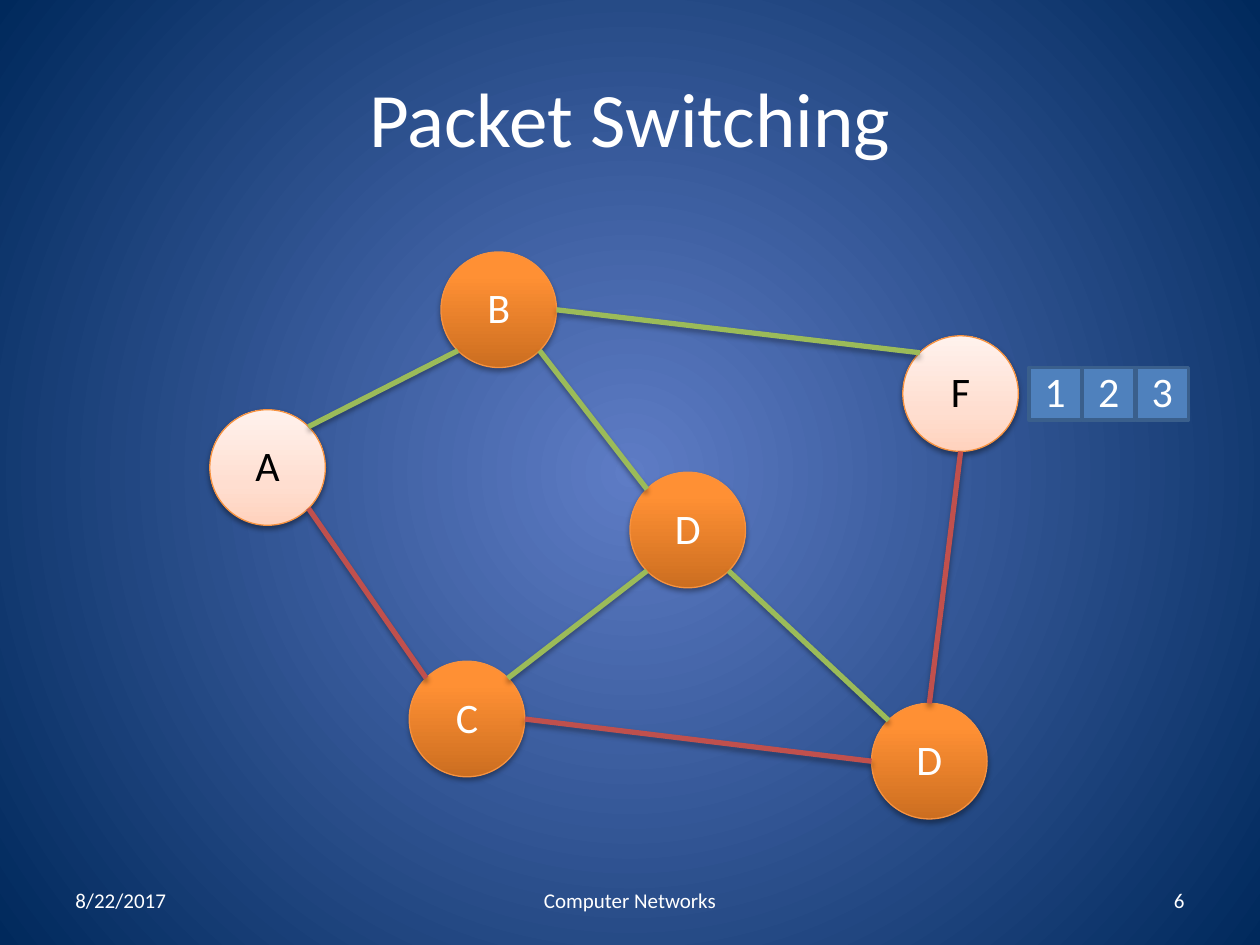
import math

from lxml import etree
from pptx import Presentation
from pptx.dml.color import RGBColor
from pptx.enum import shapes, text
from pptx.oxml import ns
from pptx.util import Cm, Pt

WHITE = RGBColor(0xFF, 0xFF, 0xFF)
BLACK = RGBColor(0x00, 0x00, 0x00)
ORANGE_EDGE = RGBColor(0xF6, 0x92, 0x40)
GREEN = RGBColor(0x9B, 0xBB, 0x59)
RED = RGBColor(0xC0, 0x50, 0x4D)
PACKET_FILL = RGBColor(0x4F, 0x81, 0xBD)
PACKET_EDGE = RGBColor(0x3A, 0x5F, 0x8C)
BACKDROP = [(0, RGBColor(0x5E, 0x7C, 0xC5)), (100, RGBColor(0x00, 0x29, 0x5C))]
HOST = [(0, RGBColor(0xFF, 0xD2, 0xBD)), (35, RGBColor(0xFF, 0xDE, 0xD0)),
        (100, RGBColor(0xFF, 0xF2, 0xED))]
ROUTER = [(0, RGBColor(0xCC, 0x6E, 0x20)), (80, RGBColor(0xFF, 0x90, 0x34)),
          (100, RGBColor(0xFF, 0x91, 0x36))]
UPWARD = '<a:lin ang="16200000" scaled="0"/>'
RADIAL = '<a:path path="circle"><a:fillToRect l="50000" t="50000" r="50000" b="50000"/></a:path>'


def set_gradient(element, stops, shade):
    """Replace the stops and direction of the gradient fill inside element."""
    gradient = element.find(".//" + ns.qn("a:gradFill"))
    marks = "".join(f'<a:gs pos="{place * 1000}"><a:srgbClr val="{color}"/></a:gs>'
                    for place, color in stops)
    new = etree.fromstring(f'<a:gradFill {ns.nsdecls("a")}>'
                           f'<a:gsLst>{marks}</a:gsLst>{shade}</a:gradFill>')
    gradient[:] = list(new)


def add_shadow(shape, distance=1.8, opacity=35):
    shape.element.spPr.append(etree.fromstring(
        f'<a:effectLst {ns.nsdecls("a")}><a:outerShdw blurRad="{Pt(3.1)}" '
        f'dist="{Pt(distance)}" dir="5400000" rotWithShape="0"><a:srgbClr val="000000">'
        f'<a:alpha val="{opacity * 1000}"/></a:srgbClr></a:outerShdw></a:effectLst>'))


deck = Presentation()
deck.slide_width, deck.slide_height = Cm(25.4), Cm(19.05)
page = deck.slides.add_slide(deck.slide_layouts[5])
page.background.fill.gradient()
set_gradient(page.element.cSld, BACKDROP, RADIAL)

title = page.shapes.title
title.left, title.top, title.width, title.height = Cm(1.27), Cm(0.76), Cm(22.86), Cm(3.18)
title.text_frame.text = "Packet Switching"
title.text_frame.vertical_anchor = text.MSO_ANCHOR.MIDDLE
heading = title.text_frame.paragraphs[0]
heading.alignment = text.PP_ALIGN.CENTER
heading.font.name, heading.font.size = "Calibri", Pt(44)
heading.font.color.rgb = WHITE

# Footer
for words, left, width, align in [
    ("8/22/2017", 1.27, 5.93, text.PP_ALIGN.LEFT),
    ("Computer Networks", 8.68, 8.04, text.PP_ALIGN.CENTER),
    ("6", 18.2, 5.93, text.PP_ALIGN.RIGHT),
]:
    box = page.shapes.add_textbox(Cm(left), Cm(17.65), Cm(width), Cm(1.01))
    box.text_frame.word_wrap = True
    box.text_frame.vertical_anchor = text.MSO_ANCHOR.MIDDLE
    para = box.text_frame.paragraphs[0]
    para.text, para.alignment = words, align
    para.font.name, para.font.size = "Calibri", Pt(12)
    para.font.color.rgb = WHITE

# Network nodes, then the packets waiting beside F
labelled = []
nodes = {}
DIAMETER = 2.33
for name, label, left, top, stops in [
    ("A", "A", 4.23, 8.26, HOST),
    ("C", "C", 8.25, 13.33, ROUTER),
    ("B", "B", 8.89, 5.08, ROUTER),
    ("D middle", "D", 12.7, 9.52, ROUTER),
    ("F", "F", 18.2, 6.77, HOST),
    ("D right", "D", 17.57, 14.18, ROUTER),
]:
    node = page.shapes.add_shape(shapes.MSO_SHAPE.OVAL, Cm(left), Cm(top),
                                 Cm(DIAMETER), Cm(DIAMETER))
    node.fill.gradient()
    set_gradient(node.element.spPr, stops, UPWARD)
    node.line.color.rgb, node.line.width = ORANGE_EDGE, Pt(0.75)
    if stops is HOST:
        add_shadow(node, distance=1.6, opacity=38)
    else:
        add_shadow(node)
    nodes[name] = node
    labelled.append((node, label, BLACK if stops is HOST else WHITE))

for number in (3, 2, 1):
    packet = page.shapes.add_shape(shapes.MSO_SHAPE.RECTANGLE, Cm(20.74 + 1.08 * (number - 1)),
                                   Cm(7.41), Cm(1.06), Cm(1.06))
    packet.shadow.inherit = False
    packet.fill.solid()
    packet.fill.fore_color.rgb = PACKET_FILL
    packet.line.color.rgb, packet.line.width = PACKET_EDGE, Pt(2)
    labelled.append((packet, str(number), WHITE))

for shape, label, color in labelled:
    shape.text_frame.vertical_anchor = text.MSO_ANCHOR.MIDDLE
    para = shape.text_frame.paragraphs[0]
    para.text, para.alignment, para.line_spacing = label, text.PP_ALIGN.CENTER, 0.93
    para.font.name, para.font.size = "Calibri", Pt(24)
    para.font.color.rgb = color

# Links join oval sites, numbered counterclockwise from the top in steps of 45 degrees
TOP, TOP_LEFT, LEFT, BOTTOM_LEFT, BOTTOM, BOTTOM_RIGHT, RIGHT, TOP_RIGHT = range(8)
for start, start_site, end, end_site, color in [
    ("A", TOP_RIGHT, "B", BOTTOM_LEFT, GREEN),
    ("A", BOTTOM_RIGHT, "C", TOP_LEFT, RED),
    ("D middle", BOTTOM_LEFT, "C", TOP_RIGHT, GREEN),
    ("D middle", TOP_LEFT, "B", BOTTOM_RIGHT, GREEN),
    ("F", TOP_LEFT, "B", RIGHT, GREEN),
    ("D right", TOP_LEFT, "D middle", BOTTOM_RIGHT, GREEN),
    ("D right", LEFT, "C", RIGHT, RED),
    ("F", BOTTOM, "D right", TOP, RED),
]:
    ends = []
    for name, site in ((start, start_site), (end, end_site)):
        node, angle = nodes[name], math.radians(45 * site)
        radius = node.width / 2
        ends += [round(node.left + radius * (1 - math.sin(angle))),
                 round(node.top + radius * (1 - math.cos(angle)))]
    link = page.shapes.add_connector(shapes.MSO_CONNECTOR.STRAIGHT, *ends)
    link.line.color.rgb, link.line.width = color, Pt(3)
    add_shadow(link)
    glue = link.element.find(".//" + ns.qn("p:cNvCxnSpPr"))
    for tag, name, site in (("a:stCxn", start, start_site), ("a:endCxn", end, end_site)):
        etree.SubElement(glue, ns.qn(tag), id=str(nodes[name].shape_id), idx=str(site))

deck.save("out.pptx")
